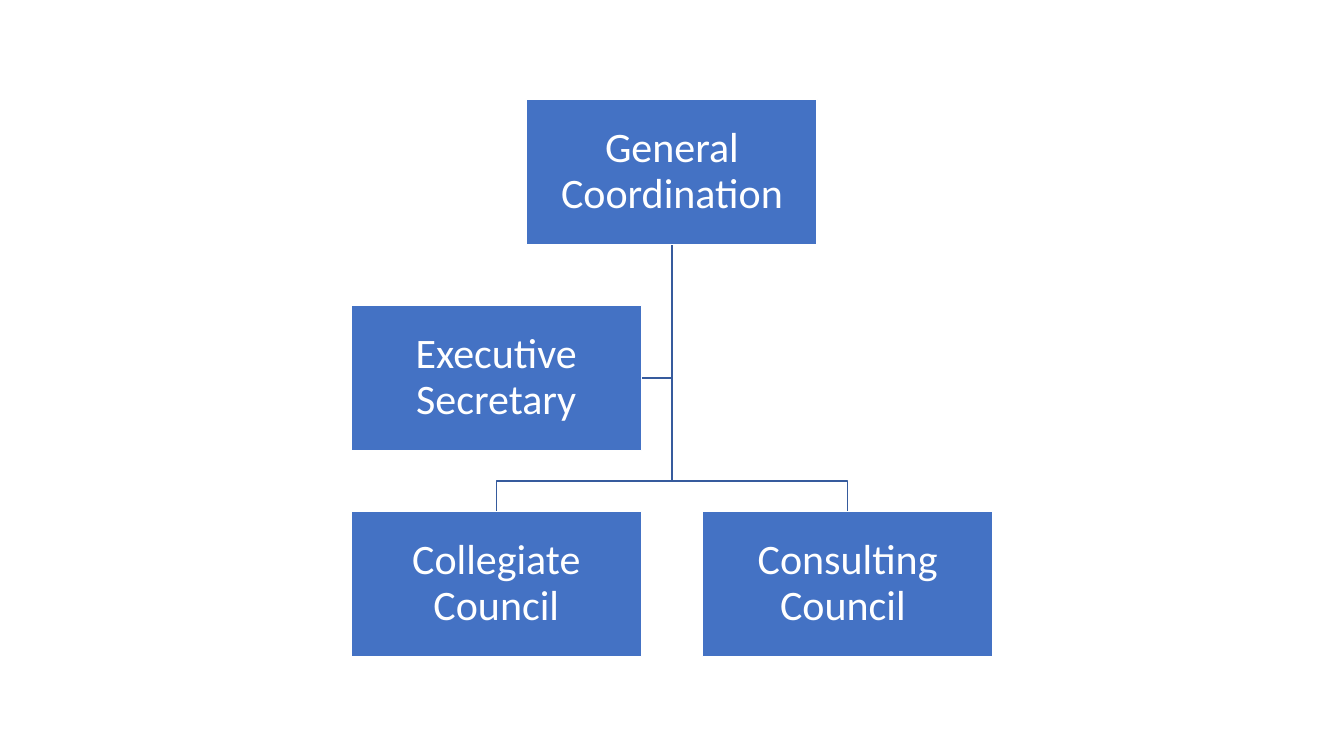
from pptx import Presentation
from pptx import util as u
from pptx.dml.color import RGBColor
from pptx.enum import shapes, text

COLOURS = {"node": "4472C4", "link": "365B9D", "white": "FFFFFF"}
FONT = "Calibri"
NODE_WIDTH = u.Inches(2.88)
NODE_HEIGHT = NODE_WIDTH // 2
GAP = int(NODE_WIDTH * 0.21)

NODES = {
    "coordination": (0.5, 0, ["General Coordination"]),
    "collegiate": (0, 2, ["Collegiate Council"]),
    "consulting": (1, 2, ["Consulting Council "]),
    "secretary": (0, 1, ["Executive", "Secretary"]),
}


def colour(name):
    return RGBColor.from_string(COLOURS[name])


def node_corner(box, name):
    column, row, _ = NODES[name]
    left, top = box
    return (int(left + column * (NODE_WIDTH + GAP)),
            int(top + row * (NODE_HEIGHT + GAP)))


def add_link(page, points):
    builder = page.shapes.build_freeform(*points[0])
    builder.add_line_segments(points[1:], close=False)
    link = builder.convert_to_shape()
    link.shadow.inherit = False
    link.fill.background()
    link.line.color.rgb = colour("link")
    link.line.width = u.Pt(1)


def add_node(page, box, name):
    node = page.shapes.add_shape(
        shapes.MSO_SHAPE.RECTANGLE, *node_corner(box, name), NODE_WIDTH, NODE_HEIGHT)
    node.shadow.inherit = False
    node.fill.solid()
    node.fill.fore_color.rgb = colour("node")
    node.line.color.rgb = colour("white")
    node.line.width = u.Pt(1)
    frame = node.text_frame
    frame.word_wrap = True
    frame.vertical_anchor = text.MSO_ANCHOR.MIDDLE
    frame.margin_left = frame.margin_right = u.Inches(0.02)
    frame.margin_top = frame.margin_bottom = u.Inches(0.02)
    for index, line in enumerate(NODES[name][2]):
        para = frame.add_paragraph() if index else frame.paragraphs[0]
        para.alignment = text.PP_ALIGN.CENTER
        para.line_spacing = 0.9
        span = para.add_run()
        span.text = line
        span.font.name = FONT
        span.font.size = u.Pt(30)
        span.font.color.rgb = colour("white")


def add_organisation(page, box):
    left, top = node_corner(box, "coordination")
    trunk, start = left + NODE_WIDTH // 2, top + NODE_HEIGHT

    left, top = node_corner(box, "secretary")
    middle = top + NODE_HEIGHT // 2
    add_link(page, [(trunk, start), (trunk, middle), (left + NODE_WIDTH, middle)])

    for council in ("consulting", "collegiate"):
        left, top = node_corner(box, council)
        centre, branch = left + NODE_WIDTH // 2, top - GAP // 2
        add_link(page, [(trunk, start), (trunk, branch), (centre, branch), (centre, top)])

    for name in NODES:
        add_node(page, box, name)


deck = Presentation()
deck.slide_width, deck.slide_height = u.Inches(13.33), u.Inches(7.5)
page = deck.slides.add_slide(deck.slide_layouts[6])
chart_width = 2 * NODE_WIDTH + GAP
chart_height = 3 * NODE_HEIGHT + 2 * GAP
add_organisation(page, ((deck.slide_width - chart_width) // 2,
                        (deck.slide_height - chart_height) // 2))
deck.save("out.pptx")
